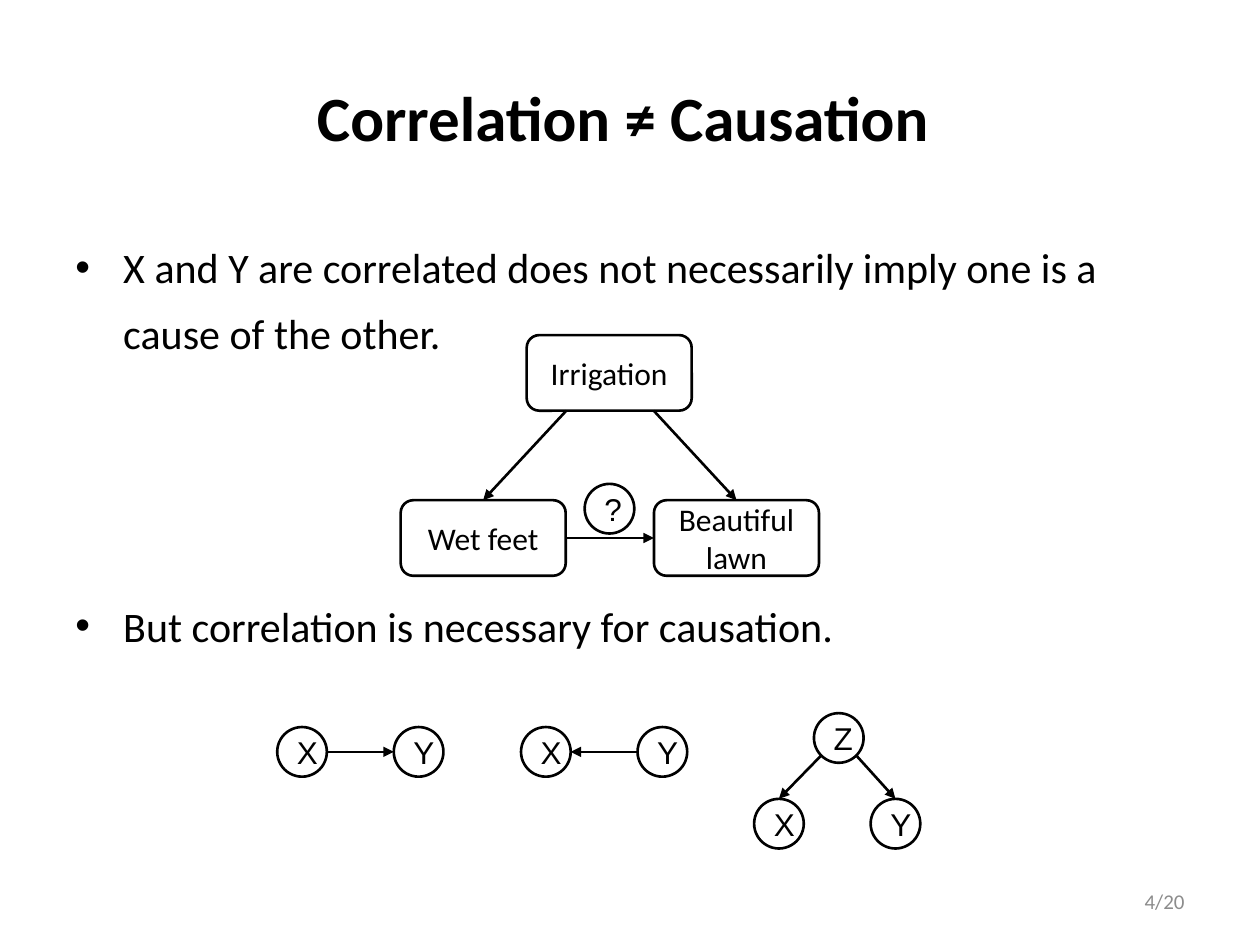
from dataclasses import dataclass

from lxml.etree import SubElement as Sub
from pptx import Presentation
from pptx.dml.color import RGBColor as RGB
from pptx.enum.shapes import MSO_CONNECTOR as Link, MSO_SHAPE as Form
from pptx.enum.text import MSO_ANCHOR as Anchor, PP_ALIGN as Align
from pptx.oxml.ns import qn
from pptx.util import Inches, Pt


@dataclass(frozen=True)
class Theme:
    ink: RGB = RGB(0, 0, 0)
    gray: RGB = RGB(0x8C, 0x8C, 0x8C)
    font: str = "Calibri"
    sign: str = "Arial"
    head: int = 36
    body: int = 24
    label: int = 18
    foot: int = 12
    line: float = 1.5


THEME = Theme()
COLS, ROWS = 100, 75  # grid cells across and down
TOP, LEFT, RIGHT = 0, 1, 3  # sites on a rectangle
DIAG = 0.5 ** 0.5 / 2  # offset of a circle's diagonal point, as share of width


def write(para, text, size, font=THEME.font, color=THEME.ink, bold=False,
          align=Align.LEFT):
    para.alignment = align
    run = para.add_run()
    run.text = text
    run.font.size, run.font.name = Pt(size), font
    run.font.color.rgb, run.font.bold = color, bold


def spot(shape, across, down):
    """Point at a share of a shape's width and height."""
    return (int(shape.left + shape.width * across),
            int(shape.top + shape.height * down))


class Deck:
    def __init__(self, theme):
        self.theme = theme
        self.prs = Presentation()
        self.prs.slide_width, self.prs.slide_height = Inches(10), Inches(7.5)
        self.slide = self.prs.slides.add_slide(self.prs.slide_layouts[5])
        self.shapes = self.slide.shapes

    def cells(self, col, row, wide, high):
        dx, dy = self.prs.slide_width / COLS, self.prs.slide_height / ROWS
        return [int(n) for n in (col * dx, row * dy, wide * dx, high * dy)]

    def title(self, text, *area):
        box = self.shapes.title
        box.left, box.top, box.width, box.height = self.cells(*area)
        box.text_frame.vertical_anchor = Anchor.MIDDLE
        write(box.text_frame.paragraphs[0], text, self.theme.head, bold=True,
              align=Align.CENTER)

    def frame(self, *area, anchor=Anchor.TOP):
        frame = self.shapes.add_textbox(*self.cells(*area)).text_frame
        frame.word_wrap, frame.vertical_anchor = True, anchor
        return frame

    def bullets(self, items, *area):
        """Items are pairs of text and points of space before."""
        frame = self.frame(*area)
        for i, (text, gap) in enumerate(items):
            para = frame.add_paragraph() if i else frame.paragraphs[0]
            write(para, text, self.theme.body)
            para.line_spacing, para.space_before = 1.3, Pt(gap)
            props = para._p.get_or_add_pPr()
            indent = Inches(0.38)
            props.set("marL", str(indent))
            props.set("indent", str(-indent))
            Sub(props, qn("a:buFont"), typeface=self.theme.sign)
            Sub(props, qn("a:buChar"), char="•")

    def node(self, form, text, font, *area):
        shape = self.shapes.add_shape(form, *self.cells(*area))
        shape.shadow.inherit = False
        shape.fill.background()
        shape.line.color.rgb = self.theme.ink
        shape.line.width = Pt(self.theme.line)
        frame = shape.text_frame
        frame.word_wrap, frame.vertical_anchor = True, Anchor.MIDDLE
        write(frame.paragraphs[0], text, self.theme.label, font=font,
              align=Align.CENTER)
        return shape

    def box(self, text, col, row):
        return self.node(Form.ROUNDED_RECTANGLE, text, self.theme.font,
                         col, row, 13.1, 6)

    def circle(self, text, col, row):
        return self.node(Form.OVAL, text, self.theme.sign, col, row, 3.94, 3.94)

    def arrow(self, start, end, source=None, target=None):
        """Source and target are pairs of a rectangle and its site."""
        line = self.shapes.add_connector(Link.STRAIGHT, *start, *end)
        if source:
            line.begin_connect(*source)
        if target:
            line.end_connect(*target)
        line.line.color.rgb = self.theme.ink
        line.line.width = Pt(self.theme.line)
        Sub(line.line._get_or_add_ln(), qn("a:tailEnd"), type="triangle")
        Sub(line._element.spPr, qn("a:effectLst"))

    def page(self, text, *area):
        frame = self.frame(*area, anchor=Anchor.MIDDLE)
        write(frame.paragraphs[0], text, self.theme.foot,
              color=self.theme.gray, align=Align.RIGHT)


def main():
    deck = Deck(THEME)
    deck.title("Correlation ≠ Causation ", 5, 3, 90, 12.5)
    deck.bullets([
        ("X and Y are correlated does not necessarily imply one is a cause "
         "of the other.", 0),
        ("But correlation is necessary for causation.", 130),
    ], 5, 17.5, 90, 48.4)

    # Common cause: irrigation
    cause = deck.box("Irrigation", 41.8, 26.6)
    feet = deck.box("Wet feet", 31.8, 39.7)
    lawn = deck.box("Beautiful lawn", 51.9, 39.7)
    deck.circle("?", 46.4, 38.4)
    for share, box in ((0.77, lawn), (0.24, feet)):
        deck.arrow(spot(cause, share, 1), spot(box, 0.5, 0),
                   target=(box, TOP))
    deck.arrow(spot(feet, 1, 0.5), spot(lawn, 0, 0.5),
               source=(feet, RIGHT), target=(lawn, LEFT))

    # Direct links, one in each direction
    step = 9.25
    for col, ahead in ((22, True), (41.35, False)):
        x = deck.circle("X", col, 57.7)
        y = deck.circle("Y", col + step, 57.7)
        ends = [spot(x, 1, 0.5), spot(y, 0, 0.5)]
        deck.arrow(*(ends if ahead else ends[::-1]))

    # Hidden common cause Z
    z = deck.circle("Z", 64.6, 56.6)
    for i, (name, side) in enumerate((("X", -DIAG), ("Y", DIAG))):
        leaf = deck.circle(name, 59.85 + i * step, 63.4)
        deck.arrow(spot(z, 0.5 + side, 0.5 + DIAG), spot(leaf, 0.5, 0))

    deck.page("4/20", 71.7, 69.5, 23.3, 4)
    deck.prs.save("out.pptx")


if __name__ == "__main__":
    main()
